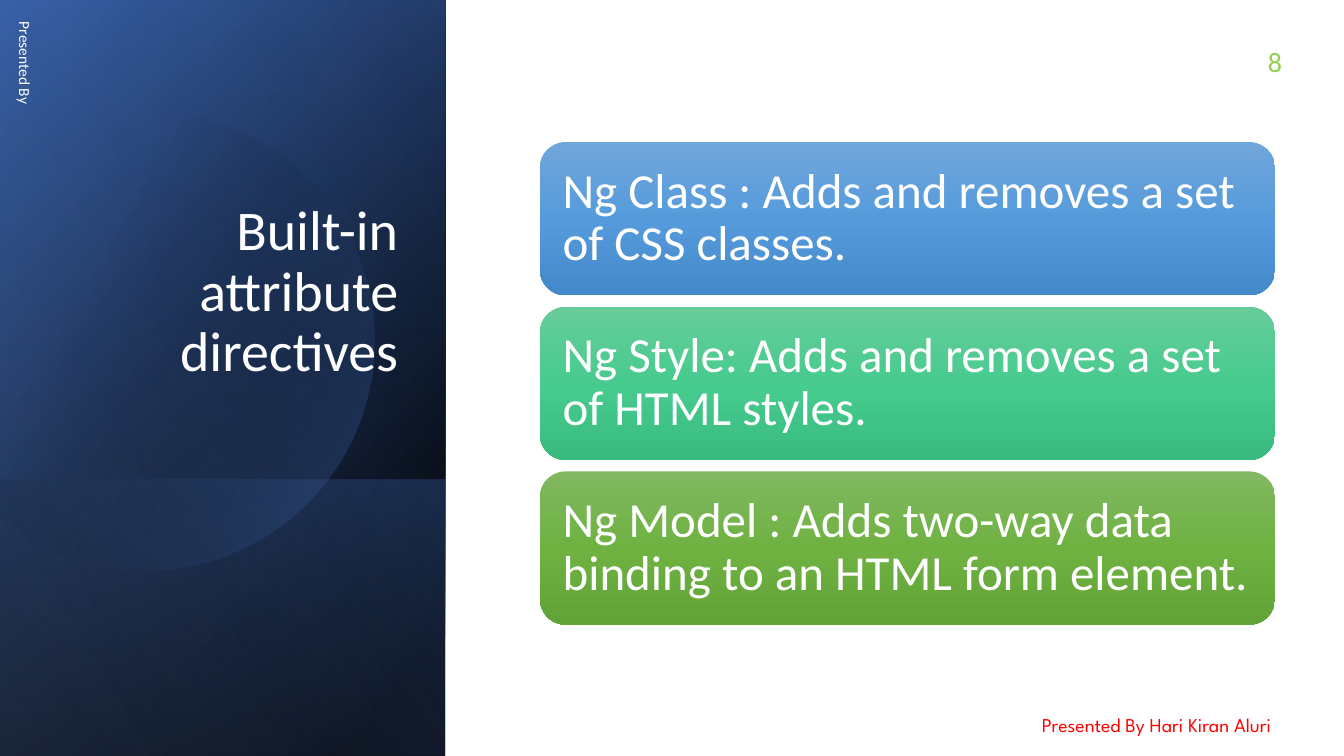
from dataclasses import dataclass
from math import acos, cos, degrees, radians, sin

from pptx import Presentation
from pptx.dml.color import RGBColor as Rgb
from pptx.enum.shapes import MSO_SHAPE as Preset
from pptx.enum.text import MSO_ANCHOR as Anchor, MSO_AUTO_SIZE as AutoSize, PP_ALIGN as Align
from pptx.oxml import parse_xml
from pptx.oxml.ns import nsdecls
from pptx.util import Cm, Pt

COLORS = {
    "white": "FFFFFF", "black": "000000", "navy": "2F5597", "blue": "4472C4",
    "pale": "8FAADC", "red": "FF0000", "lime": "92D050",
}
BODY_FONT = "Calibri"
FOOTER_FONT = "League Spartan"
PANEL_WIDTH, PAGE_HEIGHT = 11.22, 19.05


@dataclass(frozen=True)
class Stop:
    position: int
    color: str
    opacity: int = 100


@dataclass(frozen=True)
class Layer:
    """A gradient sheet of the side panel, reaching from top to the page's foot."""
    top: float
    angle: int
    stops: tuple[Stop, ...]


@dataclass(frozen=True)
class Card:
    text: str
    shades: tuple[str, str, str]


@dataclass(frozen=True)
class Label:
    text: str
    left: float
    top: float
    width: float
    height: float
    size: int
    font: str
    color: str
    rotation: int = 0
    space_after: int = 0


BACK_LAYERS = (
    Layer(0, 50, (Stop(8, COLORS["black"]), Stop(100, COLORS["navy"]))),
    Layer(0, 30, (Stop(0, COLORS["black"], 0), Stop(99, COLORS["blue"], 46))),
    Layer(12.09, 130, (Stop(2, COLORS["blue"], 29), Stop(100, COLORS["black"], 30))),
)
FRONT_LAYER = Layer(0, 120, (Stop(0, COLORS["black"], 0), Stop(99, COLORS["pale"], 11)))
DISC_STOPS = (Stop(29, COLORS["black"], 0), Stop(100, COLORS["blue"], 43))

CARDS = (
    Card("Ng Class : Adds and removes a set of CSS classes.", ("71A6DB", "559BDB", "448ACA")),
    Card("Ng Style: Adds and removes a set of HTML styles.", ("67CC9A", "47CB8E", "39BB7F")),
    Card("Ng Model : Adds two-way data binding to an HTML form element.",
         ("81B861", "6FB242", "62A336")),
)
LABELS = (
    Label("Presented By", -5.08, 5.51, 11.43, 1.02, 11, BODY_FONT, "white", 90, 6),
    Label("Presented By Hari Kiran Aluri", 26.01, 17.83, 7.16, 0.86, 14, FOOTER_FONT, "red"),
    Label("8", 31.7, 0.99, 1.27, 1.12, 20, BODY_FONT, "lime"),
)


def fill_gradient(shape, stops: tuple[Stop, ...], angle: int) -> None:
    shape.shadow.inherit = False
    shape.line.fill.background()
    shape.fill.background()
    marks = "".join(
        f'<a:gs pos="{stop.position * 1000}"><a:srgbClr val="{stop.color}">'
        f'<a:alpha val="{stop.opacity * 1000}"/></a:srgbClr></a:gs>'
        for stop in stops
    )
    gradient = parse_xml(
        f'<a:gradFill {nsdecls("a")} rotWithShape="1"><a:gsLst>{marks}</a:gsLst>'
        f'<a:lin ang="{angle * 60000}" scaled="0"/></a:gradFill>'
    )
    properties = shape._element.spPr
    properties.replace(properties.find("{*}noFill"), gradient)


def add_text(para, text: str, size: int, font: str, color: str) -> None:
    span = para.add_run()
    span.text = text
    span.font.size = Pt(size)
    span.font.name = font
    span.font.color.rgb = Rgb.from_string(COLORS[color])


def add_layer(page, layer: Layer) -> None:
    # The sheet is turned a quarter and mirrored, so its sides swap around its centre
    height = PAGE_HEIGHT - layer.top
    shift = (PANEL_WIDTH - height) / 2
    sheet = page.shapes.add_shape(
        Preset.RECTANGLE, Cm(shift), Cm(layer.top - shift), Cm(height), Cm(PANEL_WIDTH))
    sheet.rotation = 90
    sheet._element.spPr.xfrm.set("flipH", "1")
    fill_gradient(sheet, layer.stops, layer.angle)


def add_disc(page) -> None:
    # A circle cut off by the left edge of the page
    center_x, center_y, radius = 3.66, 8.59, 5.79
    reach = degrees(acos(-center_x / radius))
    steps = 120
    angles = [radians(-reach + 2 * reach * step / steps) for step in range(steps + 1)]
    points = [(Cm(center_x + radius * cos(a)), Cm(center_y + radius * sin(a))) for a in angles]
    builder = page.shapes.build_freeform(*points[0])
    builder.add_line_segments(points[1:], close=True)
    fill_gradient(builder.convert_to_shape(), DISC_STOPS, 30)


def format_title(page) -> None:
    title = page.shapes.title
    title.left, title.top, title.width, title.height = Cm(1.63), Cm(4.67), Cm(8.66), Cm(6.65)
    frame = title.text_frame
    frame.word_wrap = True
    frame.auto_size = AutoSize.NONE
    frame.vertical_anchor = Anchor.BOTTOM
    frame.margin_bottom = Cm(1.65)
    para = frame.paragraphs[0]
    para.alignment = Align.RIGHT
    para.line_spacing = 0.9
    add_text(para, "Built-in attribute directives", 40, BODY_FONT, "white")
    title._element.getparent().append(title._element)


def add_card(page, card: Card, index: int) -> None:
    height, gap = 3.86, 0.29
    box = page.shapes.add_shape(
        Preset.ROUNDED_RECTANGLE, Cm(13.61), Cm(3.58 + index * (height + gap)),
        Cm(18.52), Cm(height))
    fill_gradient(box, tuple(Stop(50 * i, shade) for i, shade in enumerate(card.shades)), 90)
    frame = box.text_frame
    frame.word_wrap = True
    frame.vertical_anchor = Anchor.MIDDLE
    # The rounded corners add their own inset to these margins
    frame.margin_left = frame.margin_right = Cm(0.38)
    frame.margin_top = frame.margin_bottom = Cm(0.38)
    para = frame.paragraphs[0]
    para.alignment = Align.LEFT
    para.line_spacing = 0.9
    add_text(para, card.text, 35, BODY_FONT, "white")


def add_label(page, label: Label) -> None:
    box = page.shapes.add_textbox(
        Cm(label.left), Cm(label.top), Cm(label.width), Cm(label.height))
    box.rotation = label.rotation
    frame = box.text_frame
    frame.word_wrap = True
    frame.vertical_anchor = Anchor.MIDDLE if label.rotation else Anchor.TOP
    para = frame.paragraphs[0]
    para.space_after = Pt(label.space_after)
    add_text(para, label.text, label.size, label.font, label.color)


def main() -> None:
    deck = Presentation()
    deck.slide_width, deck.slide_height = Cm(33.87), Cm(PAGE_HEIGHT)
    page = deck.slides.add_slide(deck.slide_layouts[5])

    # Side panel
    for layer in BACK_LAYERS:
        add_layer(page, layer)
    add_disc(page)
    add_layer(page, FRONT_LAYER)
    format_title(page)

    # Directive cards
    for index, card in enumerate(CARDS):
        add_card(page, card, index)

    # Credit lines and page number
    for label in LABELS:
        add_label(page, label)

    deck.save("out.pptx")


if __name__ == "__main__":
    main()
